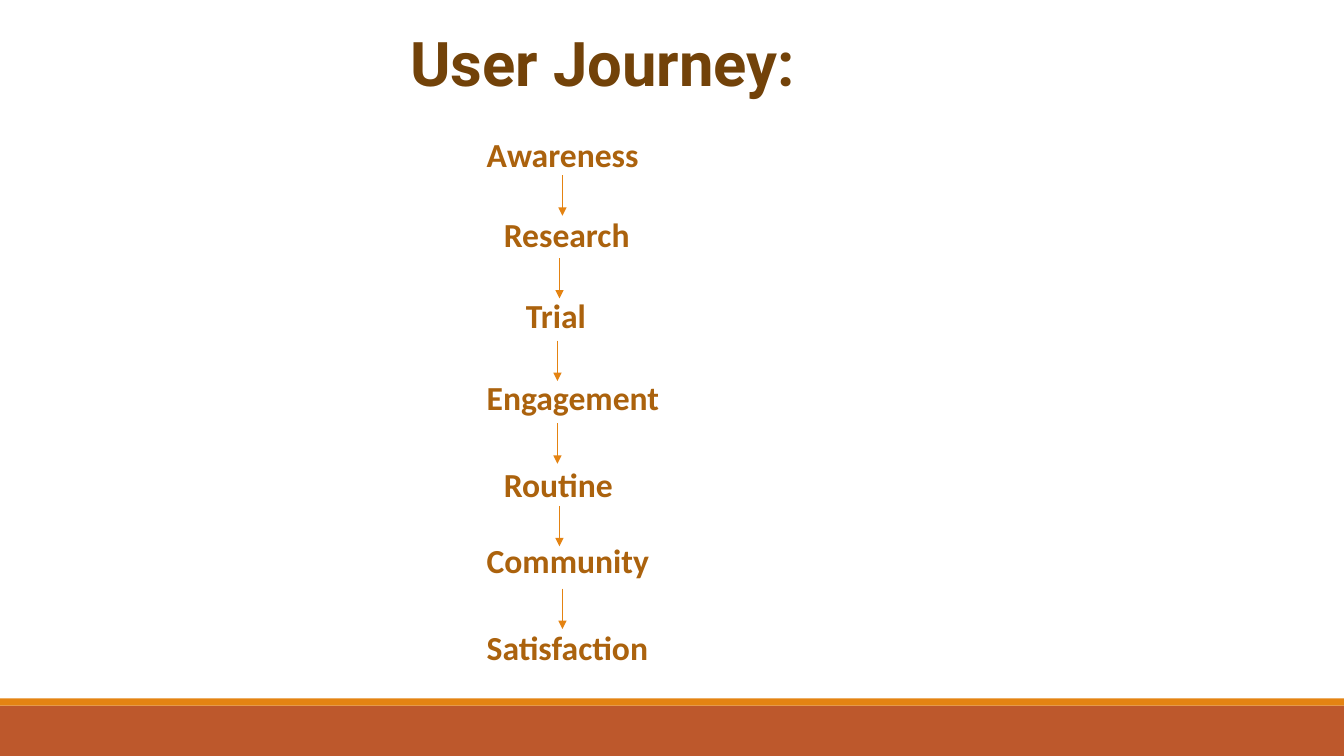
from pptx import Presentation
from pptx.dml.color import RGBColor
from pptx.enum.shapes import MSO_CONNECTOR as Connector, MSO_SHAPE as Shape
from pptx.enum.text import MSO_AUTO_SIZE as AutoSize
from pptx.oxml.ns import qn
from pptx.util import Inches, Pt
from lxml import etree

BROWN = RGBColor(0x72, 0x42, 0x09)
AMBER = RGBColor(0xAB, 0x62, 0x0D)
ORANGE = RGBColor(0xE4, 0x83, 0x12)
RUST = RGBColor(0xBD, 0x58, 0x2C)

CELL = 0.1  # inches per grid column and row
COLS, ROWS = 133.33, 75

# name, column, row, width in columns
STAGES = [
    ("Awareness", 47.3, 12.8, 22.8),
    ("Research", 49, 20.7, 66.7),
    ("Trial", 51.2, 28.8, 16.3),
    ("Engagement", 47.3, 36.9, 22.7),
    ("Routine", 49, 45.5, 29),
    ("Community", 47.3, 53.1, 66.7),
    ("Satisfaction", 47.3, 61.7, 66.7),
]
ARROW_COLS = [55.8, 55.5, 55.3, 55.3, 55.5, 55.8]
ARROW_TOP, ARROW_PITCH, ARROW_LENGTH = 17.4, 8.2, 4


def grid(*cells):
    """Turn columns or rows into slide lengths."""
    return [Inches(c * CELL) for c in cells]


class JourneySlide:
    def __init__(self, prs):
        self.slide = prs.slides.add_slide(prs.slide_layouts[6])
        self.shapes = self.slide.shapes

    def band(self, row, height, color):
        s = self.shapes.add_shape(Shape.RECTANGLE, *grid(0, row, COLS, height))
        s.shadow.inherit = False
        s.fill.solid()
        s.fill.fore_color.rgb = color
        s.line.fill.background()

    def text(self, text, col, row, width, height=5, size=24, font="Calibri", color=AMBER):
        tf = self.shapes.add_textbox(*grid(col, row, width, height)).text_frame
        tf.word_wrap = True
        tf.auto_size = AutoSize.SHAPE_TO_FIT_TEXT
        tf.text = text
        f = tf.paragraphs[0].runs[0].font
        f.name, f.size, f.bold = font, Pt(size), True
        f.color.rgb = color

    def down_arrow(self, col, row, length):
        s = self.shapes.add_connector(
            Connector.STRAIGHT, *grid(col, row, col, row + length))
        s.line.color.rgb = ORANGE
        s.line.width = Pt(1)
        etree.SubElement(s.line._get_or_add_ln(), qn("a:tailEnd"), type="triangle")
        etree.SubElement(s._element.spPr, qn("a:effectLst"))


def main():
    prs = Presentation()
    prs.slide_width, prs.slide_height = grid(COLS, ROWS)
    journey = JourneySlide(prs)

    journey.band(70, 5, RUST)
    journey.band(69.3, 0.7, ORANGE)
    journey.text("User Journey:", 39.7, 2, 42.7, 8.4, 44, "Roboto", BROWN)
    for stage in STAGES:
        journey.text(*stage)
    for i, col in enumerate(ARROW_COLS):
        journey.down_arrow(col, ARROW_TOP + i * ARROW_PITCH, ARROW_LENGTH)

    prs.save("out.pptx")


if __name__ == "__main__":
    main()
